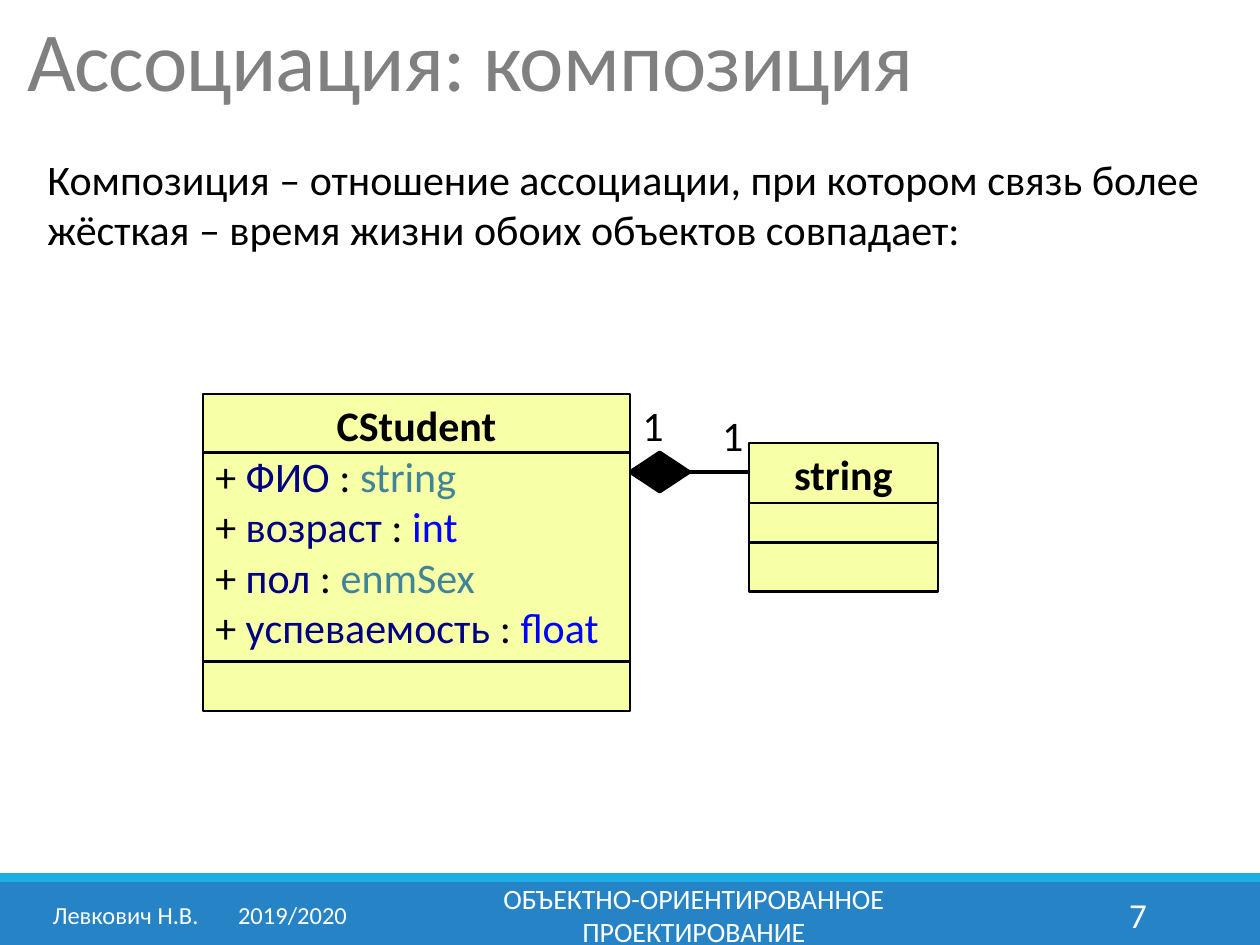
import pptx
import pptx.util
import pptx.dml.color
import pptx.enum.shapes
import pptx.enum.text
import pptx.oxml.xmlchemy

Pt = pptx.util.Pt
KIND = pptx.enum.shapes.MSO_SHAPE
ALIGN = pptx.enum.text.PP_ALIGN
ANCHOR = pptx.enum.text.MSO_ANCHOR

COLORS = {
    "white": "FFFFFF", "black": "000000", "gray": "808080",
    "band": "2683C6", "strip": "1CADE4", "box": "F7FFA7",
    "field": "000080", "type": "428497", "basic": "0000FF",
}


def color(name):
    """Return the named colour."""
    return pptx.dml.color.RGBColor.from_string(COLORS[name])


def style(font, size, tint, bold=False):
    """Format a font."""
    font.name, font.size, font.bold = "Calibri", Pt(size), bold
    font.color.rgb = color(tint)


def block(slide, box, fill, line=0, kind=KIND.RECTANGLE):
    """Add a filled shape, outlined in black when line is given."""
    shape = slide.shapes.add_shape(kind, *map(Pt, box))
    shape.shadow.inherit = False
    shape.fill.solid()
    shape.fill.fore_color.rgb = color(fill)
    if line:
        shape.line.color.rgb = color("black")
        shape.line.width = Pt(line)
    else:
        shape.line.fill.background()
    return shape


def rule(slide, start, end, width):
    """Add a straight black line."""
    line = slide.shapes.add_connector(
        pptx.enum.shapes.MSO_CONNECTOR.STRAIGHT, *map(Pt, start + end))
    line.line.color.rgb = color("black")
    line.line.width = Pt(width)
    line._element.spPr.append(pptx.oxml.xmlchemy.OxmlElement("a:effectLst"))
    return line


def write(shape, text, size, tint, align=ALIGN.LEFT, anchor=ANCHOR.MIDDLE):
    """Put one formatted paragraph in a shape and return it."""
    frame = shape.text_frame
    frame.word_wrap = True
    frame.vertical_anchor = anchor
    frame.text = text
    para = frame.paragraphs[0]
    para.alignment = align
    for run in para.runs:
        style(run.font, size, tint)
    return para


def label(slide, box, text, size, tint, align=ALIGN.LEFT, anchor=ANCHOR.MIDDLE):
    """Add a text box and return its paragraph."""
    shape = slide.shapes.add_textbox(*map(Pt, box))
    return write(shape, text, size, tint, align, anchor)


def heading(slide, box, text):
    """Place and format the title."""
    title = slide.shapes.title
    title.left, title.top, title.width, title.height = map(Pt, box)
    para = write(title, text, 48, "gray", anchor=ANCHOR.TOP)
    title.text_frame.auto_size = pptx.enum.text.MSO_AUTO_SIZE.NONE
    para.line_spacing = 0.85
    para.runs[0].font._element.set("spc", "-50")


def footer(slide, box):
    """Draw the bottom band with author, course and page number."""
    left, top, width, height = box
    block(slide, (left, top + 5, width, height - 5), "band")
    block(slide, (left, top, width, 5), "strip")
    row = top + 9.5
    label(slide, (left + 217.5, row, 358, 28.5),
          "ОБЪЕКТНО-ОРИЕНТИРОВАННОЕ ПРОЕКТИРОВАНИЕ", 16, "white", ALIGN.CENTER)
    label(slide, (left + 584.5, row, 78, 28.5), "7", 20, "white", ALIGN.RIGHT)
    para = label(slide, (left + 23, row, 188, 28.5),
                 "Левкович Н.В.\t2019/2020", 14, "white")
    tabs = pptx.oxml.xmlchemy.OxmlElement("a:tabLst")
    tab = pptx.oxml.xmlchemy.OxmlElement("a:tab")
    tab.set("pos", str(int(Pt(106))))
    tab.set("algn", "l")
    tabs.append(tab)
    para._p.get_or_add_pPr().append(tabs)


def entity(slide, box, name, fields, cuts):
    """Draw a class box with its name, fields and dividers."""
    left, top, width, _ = box
    shape = block(slide, box, "box", 1.25)
    para = write(shape, name, 24, "black", ALIGN.CENTER, ANCHOR.TOP)
    para.runs[0].font.bold = True
    for field, kind, tint in fields:
        para = shape.text_frame.add_paragraph()
        para.alignment = ALIGN.LEFT
        parts = (("+ ", "black"), (field + " ", "field"),
                 (": ", "black"), (kind, tint))
        for text, shade in parts:
            run = para.add_run()
            run.text = text
            style(run.font, 24, shade)
    for cut in cuts:
        rule(slide, (left, top + cut), (left + width, top + cut), 1.5)


def diagram(slide, box):
    """Draw two classes joined by a composition link."""
    left, top, _, _ = box
    wide, part = 244, left + 312
    fields = (("ФИО", "string", "type"), ("возраст", "int", "basic"),
              ("пол", "enmSex", "type"), ("успеваемость", "float", "basic"))
    gem = block(slide, (left + wide, top + 33.5, 34, 22.5), "black", 2,
                KIND.FLOWCHART_DECISION)
    level = top + 44.75
    link = rule(slide, (left + wide + 34, level), (part, level), 2)
    link.begin_connect(gem, 3)
    entity(slide, (left, top, wide, 181.5), "CStudent", fields, (33.5, 153))
    entity(slide, (part, top + 28, 108, 85), "string", (), (34.5, 57))
    label(slide, (left + wide, top, 22.5, 36), "1", 24, "black",
          anchor=ANCHOR.TOP)
    label(slide, (part - 22.5, top + 5.5, 51, 36), "1", 24, "black",
          anchor=ANCHOR.TOP)


def main():
    """Build and save the slide."""
    deck = pptx.Presentation()
    deck.slide_width, deck.slide_height = Pt(720), Pt(540)
    slide = deck.slides.add_slide(deck.slide_layouts[5])
    heading(slide, (8.5, 9.5, 703, 91), "Ассоциация: композиция")
    body = block(slide, (20, 71, 700, 91), "white")
    write(body, "Композиция – отношение ассоциации, при котором связь более "
          "жёсткая – время жизни обоих объектов совпадает:", 24, "black")
    diagram(slide, (116, 225, 420, 181.5))
    footer(slide, (0, 499, 720, 41))
    deck.save("out.pptx")


if __name__ == "__main__":
    main()
